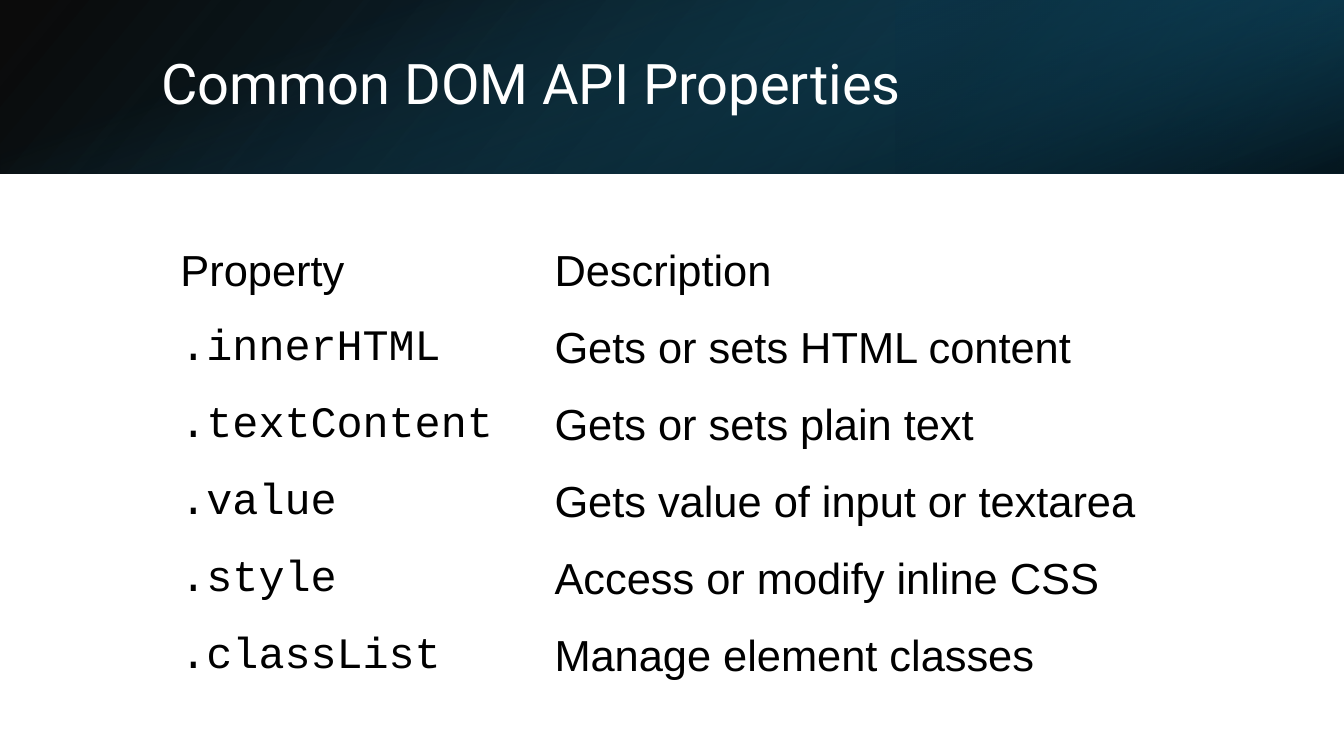
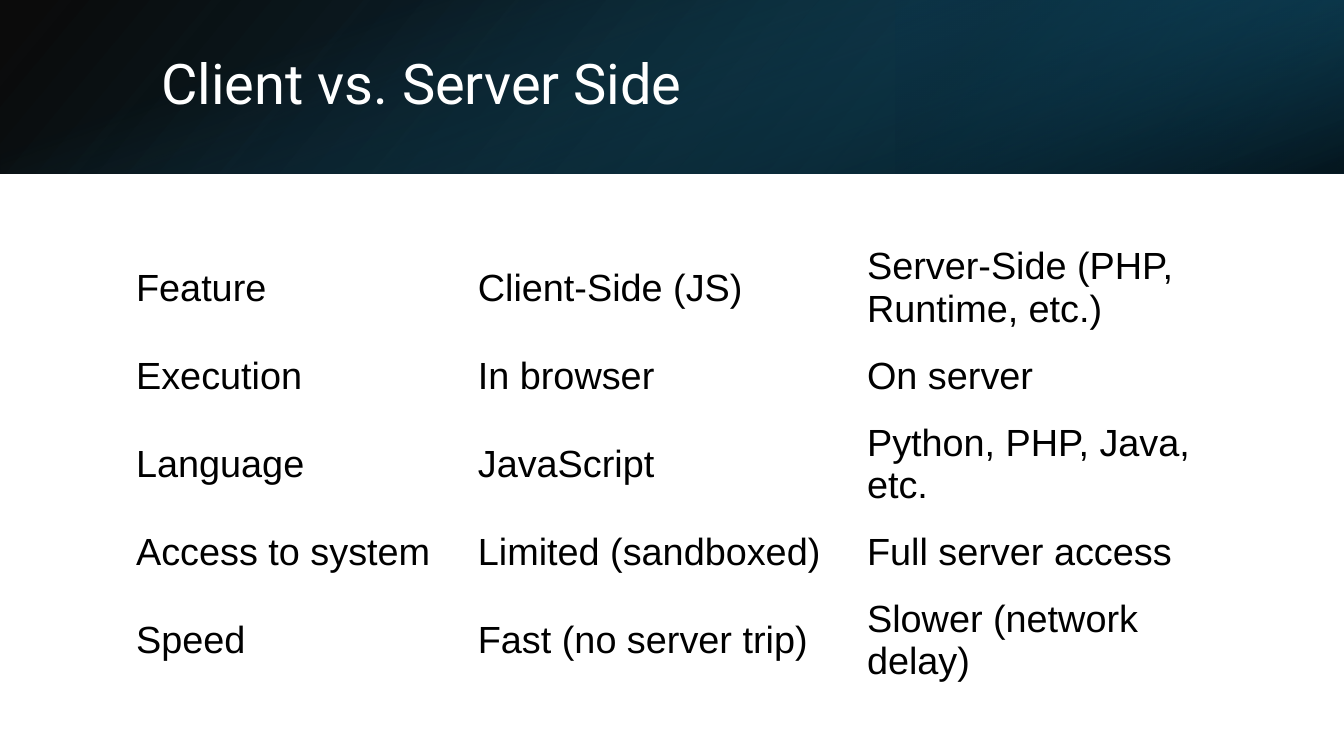
from lxml.etree import SubElement
from pptx import Presentation
from pptx.dml.color import RGBColor
from pptx.enum.shapes import MSO_SHAPE
from pptx.enum.text import MSO_ANCHOR
from pptx.oxml.ns import qn
from pptx.util import Inches, Pt

W, H = 13.33, 7.5
BAND = (0, 0, W, 1.72)
TITLE = (1.5, 0.38, 10.98, 0.96)
GRID_TOP, GRID_HEIGHT = 2.31, 4.59
BLACK, WHITE = "000000", "FFFFFF"
NAVY, BLUE, TEAL = "0B3041", "104862", "156082"

TITLE_FONT = {"name": "Roboto", "size": Pt(40)}
BODY_FONT, CODE_FONT = "Arial", "Courier New"

PROPERTIES = [
    ("Property", "Description"),
    (".innerHTML", "Gets or sets HTML content"),
    (".textContent", "Gets or sets plain text"),
    (".value", "Gets value of input or textarea"),
    (".style", "Access or modify inline CSS"),
    (".classList", "Manage element classes"),
]
SIDES = [
    ("Feature", "Client-Side (JS)", "Server-Side (PHP, Runtime, etc.)"),
    ("Execution", "In browser", "On server"),
    ("Language", "JavaScript", "Python, PHP, Java, etc."),
    ("Access to system", "Limited (sandboxed)", "Full server access"),
    ("Speed", "Fast (no server trip)", "Slower (network delay)"),
]


def rgb(color):
    return RGBColor.from_string(color)


def apply(obj, values):
    for name, value in values.items():
        setattr(obj, name, value)


def write(p, text, color, font):
    r = p.add_run()
    r.text = text
    apply(r.font, font)
    r.font.color.rgb = rgb(color)


def add_gradient(s, box, stops, angle, rotation=0, flip=False):
    sp = s.shapes.add_shape(MSO_SHAPE.RECTANGLE, *map(Inches, box))
    sp.shadow.inherit = False
    sp.line.fill.background()
    sp.rotation = rotation
    sp.fill.gradient()
    props = sp._element.spPr
    if flip:
        props.find(qn("a:xfrm")).set("flipH", "1")
    grad = props.find(qn("a:gradFill"))
    stop_list = grad.find(qn("a:gsLst"))
    stop_list.clear()
    for pos, color, alpha in stops:
        gs = SubElement(stop_list, qn("a:gs"), pos=str(pos * 1000))
        clr = SubElement(gs, qn("a:srgbClr"), val=str(rgb(color)))
        SubElement(clr, qn("a:alpha"), val=str(alpha * 1000))
    grad.find(qn("a:lin")).set("ang", str(angle * 60000))


def add_band(s, box):
    x, y, w, h = box
    right = (x + w * 2 / 3, y, w / 3, h)
    upright = (x + (w - h) / 2, y + (h - w) / 2, h, w)
    add_gradient(s, box, [(0, BLACK, 96), (100, BLUE, 100)], 140, flip=True)
    add_gradient(s, right, [(19, NAVY, 68), (100, TEAL, 79)], 320, 180, True)
    add_gradient(s, upright, [(23, TEAL, 0), (99, BLACK, 74)], 340, 90)


def add_title(s, box, text):
    tf = s.shapes.add_textbox(*map(Inches, box)).text_frame
    apply(tf, {"word_wrap": True, "vertical_anchor": MSO_ANCHOR.MIDDLE})
    p = tf.paragraphs[0]
    p.line_spacing = 0.9
    write(p, text, WHITE, TITLE_FONT)


def add_grid(s, left, rows, widths, shares, size, inset, code=False):
    box = (left, GRID_TOP, sum(widths), GRID_HEIGHT)
    table = s.shapes.add_table(len(rows), len(widths), *map(Inches, box)).table
    apply(table, {"first_row": False, "horz_banding": False})
    for col, width in zip(table.columns, widths):
        col.width = Inches(width)
    side, edge = map(Inches, inset)
    layout = {"margin_left": side, "margin_right": side, "margin_top": edge,
              "margin_bottom": edge, "vertical_anchor": MSO_ANCHOR.MIDDLE}
    for i, row in enumerate(rows):
        table.rows[i].height = Inches(GRID_HEIGHT * shares[i] / sum(shares))
        for j, text in enumerate(row):
            cell = table.cell(i, j)
            cell.fill.background()
            apply(cell, layout)
            name = CODE_FONT if code and i and not j else BODY_FONT
            write(cell.text_frame.paragraphs[0], text, BLACK,
                  {"name": name, "size": Pt(size)})


def add_slide(prs, title):
    s = prs.slides.add_slide(prs.slide_layouts[6])
    s.background.fill.solid()
    s.background.fill.fore_color.rgb = rgb(WHITE)
    add_band(s, BAND)
    add_title(s, TITLE, title)
    return s


def main():
    prs = Presentation()
    apply(prs, {"slide_width": Inches(W), "slide_height": Inches(H)})

    s = add_slide(prs, "Common DOM API Properties")
    add_grid(s, 1.62, PROPERTIES, [3.71, 6.41],
             [1] * len(PROPERTIES), 31, (0.17, 0.09), code=True)

    s = add_slide(prs, "Client vs. Server Side")
    add_grid(s, 1.2, SIDES, [3.39, 3.86, 3.71],
             [1.09, 0.65, 1.09, 0.65, 1.09], 27, (0.15, 0.07))

    prs.save("out.pptx")


if __name__ == "__main__":
    main()
